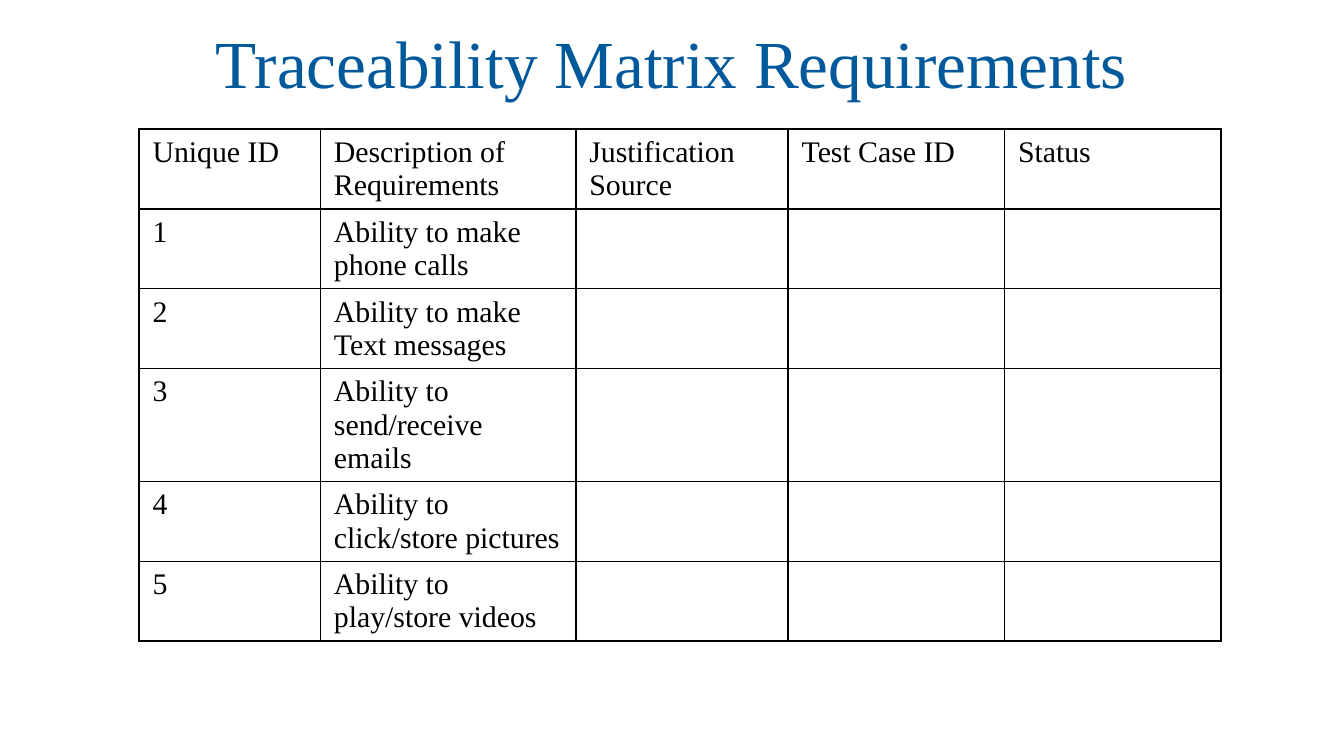
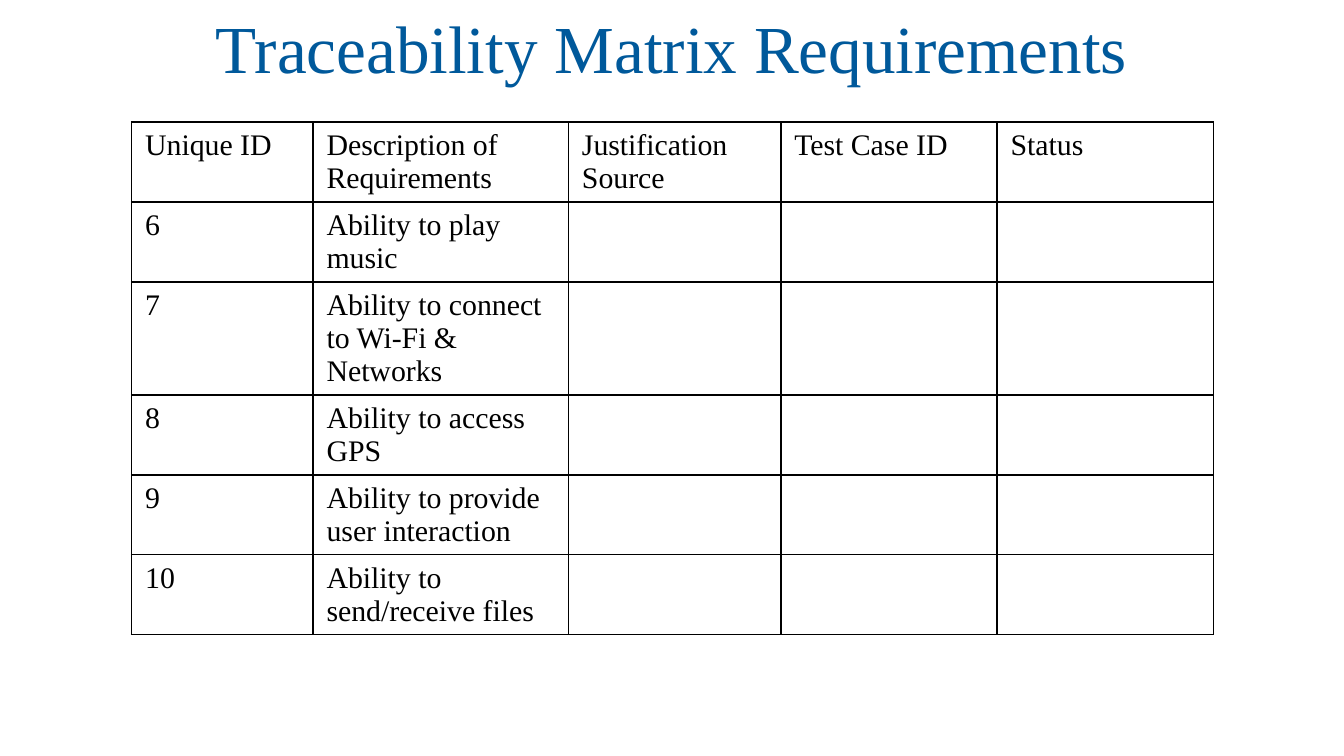
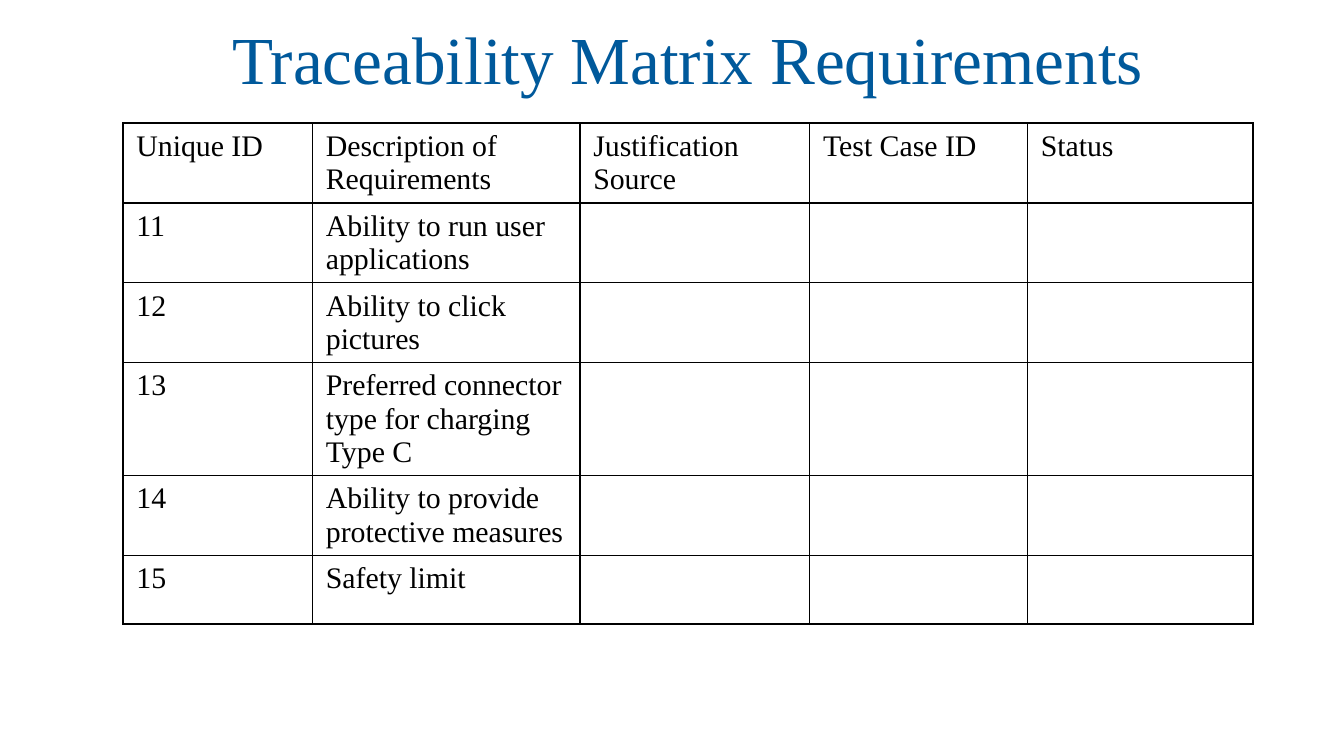
from lxml import etree
from pptx import Presentation
from pptx.dml.color import RGBColor
from pptx.enum.text import MSO_ANCHOR, MSO_AUTO_SIZE, PP_ALIGN
from pptx.oxml.ns import qn
from pptx.util import Inches, Pt

BLUE = RGBColor(0x00, 0x59, 0x9B)
BLACK = RGBColor(0x00, 0x00, 0x00)
FONT = "Times New Roman"
TOP = MSO_ANCHOR.TOP
FIXED = MSO_AUTO_SIZE.NONE
LEFT, CENTER = PP_ALIGN.LEFT, PP_ALIGN.CENTER
WIDE = Inches(10)
HIGH = WIDE * 9 // 16
UNIT = WIDE // 100
ROW = 5.1
TITLE = "Traceability Matrix Requirements"
HEADS = ["Unique ID", "Description of Requirements", "Justification Source",
         "Test Case ID", "Status"]
COLS = [13.5, 19, 15.8, 16.1, 16.1]
BROAD = [14.1, 19.9, 17.1, 16.2, 16.8]
PAGES = [
    ((5, 1.1), (10.35, 9.6), COLS, 1,
     ["Ability to make phone calls", "Ability to make Text messages",
      "Ability to send/receive emails", "Ability to click/store pictures",
      "Ability to play/store videos"]),
    ((5, 0), (9.8, 9.1), COLS, 6,
     ["Ability to play music", "Ability to connect to Wi-Fi & Networks",
      "Ability to access GPS", "Ability to provide user interaction",
      "Ability to send/receive files"]),
    ((6.2, 0.8), (9.15, 9.15), BROAD, 11,
     ["Ability to run user applications", "Ability to click pictures",
      "Preferred connector type for charging Type C",
      "Ability to provide protective measures", "Safety limit"]),
]


def grid(*spans):
    return [round(span * UNIT) for span in spans]


def write(frame, text, size=16, color=BLACK, align=LEFT, before=0):
    para = frame.paragraphs[0]
    para.alignment = align
    para.space_before = Pt(before)
    run = para.add_run()
    run.text = text
    run.font.name = FONT
    run.font.size = Pt(size)
    run.font.color.rgb = color


def add_title(slide, left, top):
    title = slide.shapes.title
    title.left, title.top, title.width, title.height = grid(left, top, 90, 3.7)
    frame = title.text_frame
    frame.auto_size = FIXED
    frame.vertical_anchor = TOP
    write(frame, TITLE, size=36, color=BLUE, align=CENTER, before=7.2)


def add_rule(cell):
    props = cell._tc.get_or_add_tcPr()
    for side in ("a:lnL", "a:lnR", "a:lnT", "a:lnB"):
        line = etree.SubElement(props, qn(side), w=str(Pt(1)))
        fill = etree.SubElement(line, qn("a:solidFill"))
        etree.SubElement(fill, qn("a:srgbClr"), val=str(BLACK))
    cell.fill.background()


def add_matrix(slide, left, top, cols, rows):
    box = grid(left, top, sum(cols), ROW * len(rows))
    table = slide.shapes.add_table(len(rows), len(cols), *box).table
    table.first_row = table.horz_banding = False
    for col, width in zip(table.columns, grid(*cols)):
        col.width = width
    for row, texts in zip(table.rows, rows):
        row.height = grid(ROW)[0]
        for cell in row.cells:
            add_rule(cell)
        for cell, text in zip(row.cells, texts):
            write(cell.text_frame, text)


def add_page(deck, head, place, cols, first, needs):
    slide = deck.slides.add_slide(deck.slide_layouts[5])
    add_title(slide, *head)
    rows = [HEADS] + [[str(num), need] for num, need in enumerate(needs, first)]
    add_matrix(slide, *place, cols, rows)


def main():
    deck = Presentation()
    deck.slide_width, deck.slide_height = WIDE, HIGH
    for page in PAGES:
        add_page(deck, *page)
    deck.save("out.pptx")


if __name__ == "__main__":
    main()
